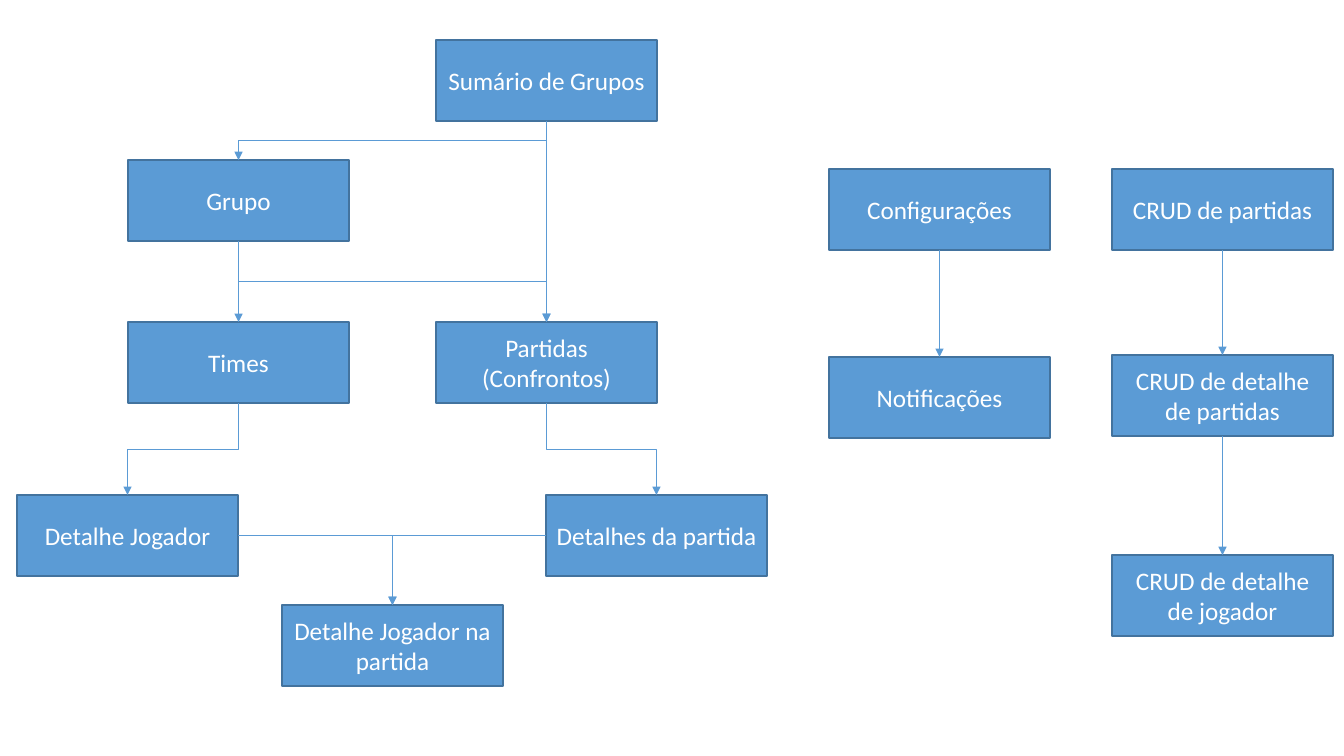
import pptx
import pptx.util
import pptx.dml.color
import pptx.enum.shapes
import pptx.enum.text
import pptx.oxml
import pptx.oxml.ns

SLIDE_SIZE = (1344, 756)
BOX_SIZE = (221, 81)

SCREENS = {
    "Sumário de Grupos": (436, 40),
    "Grupo": (128, 160),
    "Partidas (Confrontos)": (436, 322),
    "Times": (128, 322),
    "Detalhes da partida": (546, 495),
    "Detalhe Jogador": (17, 495),
    "Detalhe Jogador na partida": (282, 605),
    "CRUD de partidas": (1112, 169),
    "CRUD de detalhe de partidas": (1112, 355),
    "CRUD de detalhe de jogador": (1112, 555),
    "Configurações": (829, 169),
    "Notificações": (829, 357),
}

FLOWS = [
    ("Sumário de Grupos", "Grupo", "bottom"),
    ("Sumário de Grupos", "Partidas (Confrontos)", "bottom"),
    ("Grupo", "Partidas (Confrontos)", "bottom"),
    ("Grupo", "Times", "bottom"),
    ("Partidas (Confrontos)", "Detalhes da partida", "bottom"),
    ("Times", "Detalhe Jogador", "bottom"),
    ("Detalhe Jogador", "Detalhe Jogador na partida", "right"),
    ("Detalhes da partida", "Detalhe Jogador na partida", "left"),
    ("CRUD de partidas", "CRUD de detalhe de partidas", "bottom"),
    ("CRUD de detalhe de partidas", "CRUD de detalhe de jogador", "bottom"),
    ("Configurações", "Notificações", "bottom"),
]

SITES = {"top": 0, "left": 1, "bottom": 2, "right": 3}

THEME = {
    "fill": pptx.dml.color.RGBColor.from_string("5B9BD5"),
    "border": pptx.dml.color.RGBColor.from_string("43739E"),
    "text": pptx.dml.color.RGBColor.from_string("FFFFFF"),
    "font": {"name": "Calibri", "size": pptx.util.Pt(18)},
    "border_width": pptx.util.Pt(1),
    "flow_width": pptx.util.Pt(0.5),
}

FRAME_FORMAT = {
    "word_wrap": True,
    "vertical_anchor": pptx.enum.text.MSO_ANCHOR.MIDDLE,
}


def px(length):
    return pptx.util.Emu(round(length * 914400 / 100.8))


def apply_format(target, values):
    for name, value in values.items():
        setattr(target, name, value)


def add_screen(slide, label, position):
    shape = slide.shapes.add_shape(
        pptx.enum.shapes.MSO_SHAPE.RECTANGLE, *map(px, position + BOX_SIZE)
    )
    shape.shadow.inherit = False
    shape.fill.solid()
    shape.fill.fore_color.rgb = THEME["fill"]
    shape.line.color.rgb = THEME["border"]
    shape.line.width = THEME["border_width"]
    apply_format(shape.text_frame, FRAME_FORMAT)
    paragraph = shape.text_frame.paragraphs[0]
    paragraph.alignment = pptx.enum.text.PP_ALIGN.CENTER
    run = paragraph.add_run()
    run.text = label
    apply_format(run.font, THEME["font"])
    run.font.color.rgb = THEME["text"]
    return shape


def add_flow(slide, source, target, side):
    connector = slide.shapes.add_connector(
        pptx.enum.shapes.MSO_CONNECTOR.ELBOW, 0, 0, 0, 0
    )
    connector.begin_connect(source, SITES[side])
    connector.end_connect(target, SITES["top"])
    start_x, start_y = connector.begin_x, connector.begin_y
    end_x, end_y = connector.end_x, connector.end_y
    width, height = abs(end_x - start_x), end_y - start_y
    properties = connector._element.spPr
    if side == "bottom":
        width, height = height, width
        turn = {"rot": "16200000", "flipH": "1"} if end_x > start_x else {"rot": "5400000"}
    else:
        turn = {} if side == "right" else {"rot": "10800000", "flipV": "1"}
        properties.find(pptx.oxml.ns.qn("a:prstGeom")).set("prst", "bentConnector2")
    transform = properties.find(pptx.oxml.ns.qn("a:xfrm"))
    transform.attrib.clear()
    apply_format(connector, {
        "left": (start_x + end_x - width) // 2,
        "top": (start_y + end_y - height) // 2,
        "width": width,
        "height": height,
    })
    for name, value in turn.items():
        transform.set(name, value)
    connector.line.color.rgb = THEME["fill"]
    connector.line.width = THEME["flow_width"]
    outline = properties.find(pptx.oxml.ns.qn("a:ln"))
    outline.append(pptx.oxml.parse_xml(
        f'<a:tailEnd {pptx.oxml.ns.nsdecls("a")} type="triangle"/>'
    ))
    properties.append(pptx.oxml.parse_xml(
        f'<a:effectLst {pptx.oxml.ns.nsdecls("a")}/>'
    ))


def main():
    presentation = pptx.Presentation()
    presentation.slide_width, presentation.slide_height = map(px, SLIDE_SIZE)
    slide = presentation.slides.add_slide(presentation.slide_layouts[6])
    screens = {
        label: add_screen(slide, label, position)
        for label, position in SCREENS.items()
    }
    for source, target, side in FLOWS:
        add_flow(slide, screens[source], screens[target], side)
    presentation.save("out.pptx")


if __name__ == "__main__":
    main()
